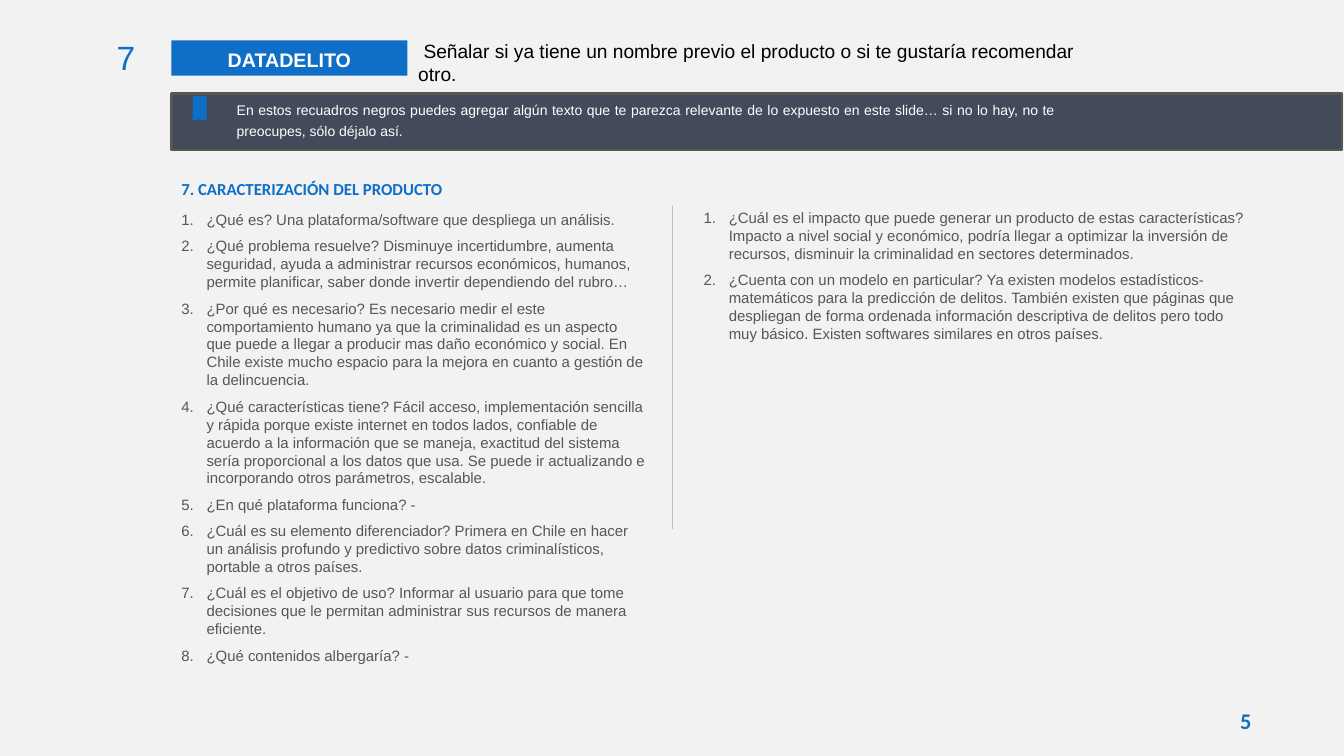
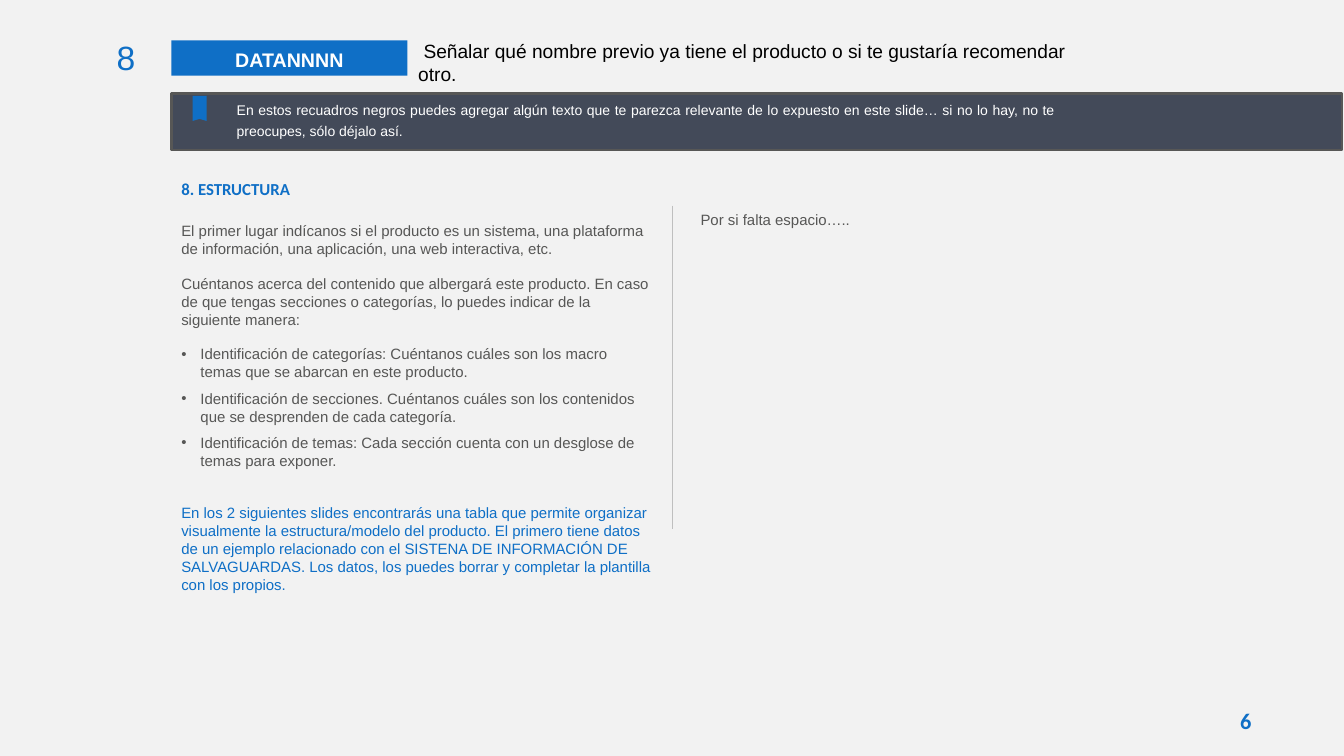
from lxml import etree
from pptx import Presentation
from pptx.dml.color import RGBColor
from pptx.enum import shapes, text
from pptx.oxml import ns
from pptx.util import Inches, Pt

COLOURS = {
    "page": "F2F2F2",
    "blue": "0F6FC6",
    "band": "434A59",
    "grey": "575756",
    "rule": "BFBFBF",
    "white": "FFFFFF",
    "black": "000000",
}
ALIGN = text.PP_ALIGN
BODY_SIZE = 10.7
NUMBERED = ("buAutoNum", {"type": "arabicPeriod"}, 0.25)
BULLETED = ("buChar", {"char": "•"}, 0.19)
BAND_TEXT = (
    "En estos recuadros negros puedes agregar algún texto que te parezca relevante "
    "de lo expuesto en este slide… si no lo hay, no te preocupes, sólo déjalo así."
)

PRODUCT_ANSWERS = [
    "¿Qué es? Una plataforma/software que despliega un análisis.",
    "¿Qué problema resuelve? Disminuye incertidumbre, aumenta seguridad, ayuda a "
    "administrar recursos económicos, humanos, permite planificar, saber donde "
    "invertir dependiendo del rubro…",
    "¿Por qué es necesario? Es necesario medir el este comportamiento humano ya que "
    "la criminalidad es un aspecto que puede a llegar a producir mas daño económico "
    "y social. En Chile existe mucho espacio para la mejora en cuanto a gestión de "
    "la delincuencia.",
    "¿Qué características tiene? Fácil acceso, implementación sencilla y rápida "
    "porque existe internet en todos lados, confiable de acuerdo a la información "
    "que se maneja, exactitud del sistema sería proporcional a los datos que usa. "
    "Se puede ir actualizando e incorporando otros parámetros, escalable.",
    "¿En qué plataforma funciona? -",
    "¿Cuál es su elemento diferenciador? Primera en Chile en hacer un análisis "
    "profundo y predictivo sobre datos criminalísticos, portable a otros países.",
    "¿Cuál es el objetivo de uso? Informar al usuario para que tome decisiones que "
    "le permitan administrar sus recursos de manera eficiente.",
    "¿Qué contenidos albergaría? -",
]
IMPACT_ANSWERS = [
    "¿Cuál es el impacto que puede generar un producto de estas características? "
    "Impacto a nivel social y económico, podría llegar a optimizar la inversión de "
    "recursos, disminuir la criminalidad en sectores determinados.",
    "¿Cuenta con un modelo en particular? Ya existen modelos "
    "estadísticos-matemáticos para la predicción de delitos. También existen que "
    "páginas que despliegan de forma ordenada información descriptiva de delitos "
    "pero todo muy básico. Existen softwares similares en otros países.",
]
STRUCTURE_INTRO = [
    "El primer lugar indícanos si el producto es un sistema, una plataforma de "
    "información, una aplicación, una web interactiva, etc.",
    "Cuéntanos acerca del contenido que albergará este producto. En caso de que "
    "tengas secciones o categorías, lo puedes indicar de la siguiente manera:",
]
STRUCTURE_LEVELS = [
    "Identificación de categorías: Cuéntanos cuáles son los macro temas que se "
    "abarcan en este producto.",
    "Identificación de secciones. Cuéntanos cuáles son los contenidos que se "
    "desprenden de cada categoría.",
    "Identificación de temas: Cada sección cuenta con un desglose de temas para "
    "exponer.",
]
STRUCTURE_NOTE = (
    "En los 2 siguientes slides encontrarás una tabla que permite organizar "
    "visualmente la estructura/modelo del producto. El primero tiene datos de un "
    "ejemplo relacionado con el SISTENA DE INFORMACIÓN DE SALVAGUARDAS. Los datos, "
    "los puedes borrar y completar la plantilla con los propios."
)


def rgb(name):
    return RGBColor.from_string(COLOURS[name])


def paint(shape, fill, line=None, width=0):
    shape.shadow.inherit = False
    shape.fill.solid()
    shape.fill.fore_color.rgb = rgb(fill)
    if line:
        shape.line.color.rgb = rgb(line)
        shape.line.width = Pt(width)
    else:
        shape.line.fill.background()


def add_box(page, left, top, width, height, grow=True):
    box = page.shapes.add_textbox(Inches(left), Inches(top), Inches(width), Inches(height))
    box.text_frame.word_wrap = True
    if grow:
        box.text_frame.auto_size = text.MSO_AUTO_SIZE.SHAPE_TO_FIT_TEXT
    return box


def write(para, words, size, colour, font="Arial", bold=False, align=ALIGN.LEFT, spacing=None):
    para.alignment = align
    if spacing:
        para.line_spacing = spacing
    span = para.add_run()
    span.text = words
    span.font.size = Pt(size)
    span.font.name = font
    span.font.bold = bold
    span.font.color.rgb = rgb(colour)


def add_marker(para, marker):
    tag, attributes, indent = marker
    props = para._p.get_or_add_pPr()
    props.set("marL", str(Inches(indent)))
    props.set("indent", str(-Inches(indent)))
    colour = etree.SubElement(props, ns.qn("a:buClr"))
    etree.SubElement(colour, ns.qn("a:srgbClr"), val=COLOURS["grey"])
    etree.SubElement(props, ns.qn("a:buFont"), typeface="Arial")
    etree.SubElement(props, ns.qn(f"a:{tag}"), attributes)


def add_body(page, left, top, width, height, items):
    frame = add_box(page, left, top, width, height).text_frame
    for index, (words, before, marker, colour) in enumerate(items):
        para = frame.add_paragraph() if index else frame.paragraphs[0]
        para.space_before = Pt(before)
        if marker:
            add_marker(para, marker)
        write(para, words, BODY_SIZE, colour)


def numbered(answers):
    return [(words, 6 if index else 0, NUMBERED, "grey") for index, words in enumerate(answers)]


def add_page_number(page, number):
    frame = add_box(page, 12.05, 7, 0.61, 0.33, grow=False).text_frame
    frame.margin_left = frame.margin_right = Inches(0.05)
    frame.margin_top = frame.margin_bottom = Inches(0.02)
    write(frame.paragraphs[0], number, 16, "blue", "Calibri", True, ALIGN.CENTER)


def add_header(page, section, name, hint):
    frame = add_box(page, 4.05, 0.34, 6.8, 0.56, grow=False).text_frame
    frame.vertical_anchor = text.MSO_ANCHOR.MIDDLE
    write(frame.paragraphs[0], " " + hint, 13.7, "black")

    badge = page.shapes.add_shape(
        shapes.MSO_SHAPE.RECTANGLE, Inches(1.7), Inches(0.4), Inches(2.34), Inches(0.35))
    paint(badge, "blue")
    frame = badge.text_frame
    frame.vertical_anchor = text.MSO_ANCHOR.TOP
    frame.auto_size = text.MSO_AUTO_SIZE.SHAPE_TO_FIT_TEXT
    write(frame.paragraphs[0], name, 14, "white", bold=True, align=ALIGN.CENTER, spacing=1.1)

    frame = add_box(page, 0.78, 0.32, 0.66, 0.5).text_frame
    write(frame.paragraphs[0], section, 24, "blue", align=ALIGN.RIGHT)


def add_band(page):
    band = page.shapes.add_shape(
        shapes.MSO_SHAPE.RECTANGLE, Inches(1.7), Inches(0.93), Inches(11.61), Inches(0.56))
    paint(band, "band", "grey", 2)

    outline = page.shapes.build_freeform(Inches(2.05), Inches(0.95))
    corners = [(2.05, 1.2), (1.98, 1.18), (1.91, 1.2), (1.91, 0.95)]
    outline.add_line_segments([(Inches(x), Inches(y)) for x, y in corners])
    paint(outline.convert_to_shape(), "blue")

    frame = add_box(page, 2.25, 0.93, 8.3, 0.56, grow=False).text_frame
    write(frame.paragraphs[0], BAND_TEXT, 10, "white", align=ALIGN.JUSTIFY, spacing=1.2)


def add_divider(page):
    divider = page.shapes.add_connector(
        shapes.MSO_CONNECTOR.STRAIGHT, Inches(6.67), Inches(2.04), Inches(6.67), Inches(5.25))
    divider.line.color.rgb = rgb("rule")
    divider.line.width = Pt(0.75)
    etree.SubElement(divider._element.spPr, ns.qn("a:effectLst"))


def add_page(deck, number, section, name, hint, heading):
    page = deck.slides.add_slide(deck.slide_layouts[6])
    add_page_number(page, number)
    add_header(page, section, name, hint)
    add_band(page)
    add_divider(page)
    frame = add_box(page, 1.7, 1.72, 4.74, 0.3).text_frame
    write(frame.paragraphs[0], f"{section}. {heading}", 12, "blue", "Calibri", True)
    return page


def main():
    deck = Presentation()
    deck.slide_width, deck.slide_height = Inches(13.33), Inches(7.5)
    backdrop = deck.slide_master.background.fill
    backdrop.solid()
    backdrop.fore_color.rgb = rgb("page")

    product = add_page(
        deck, "5", "7", "DATADELITO",
        "Señalar si ya tiene un nombre previo el producto o si te gustaría recomendar otro.",
        "CARACTERIZACIÓN DEL PRODUCTO")
    add_body(product, 1.7, 2.04, 4.81, 4.46, numbered(PRODUCT_ANSWERS))
    add_body(product, 6.88, 2.02, 5.58, 1.79, numbered(IMPACT_ANSWERS))

    structure = add_page(
        deck, "6", "8", "DATANNNN",
        "Señalar qué nombre previo ya tiene el producto o si te gustaría recomendar otro.",
        "ESTRUCTURA")
    items = [(words, 12 if index else 0, None, "grey")
             for index, words in enumerate(STRUCTURE_INTRO)]
    items += [(words, 6 if index else 12, BULLETED, "grey")
              for index, words in enumerate(STRUCTURE_LEVELS)]
    items.append((STRUCTURE_NOTE, 24.5, None, "blue"))
    add_body(structure, 1.7, 2.15, 4.87, 3.73, items)
    add_body(structure, 6.85, 2.04, 4.87, 0.63, [("Por si falta espacio…..", 0, None, "grey")])

    deck.save("out.pptx")


main()
